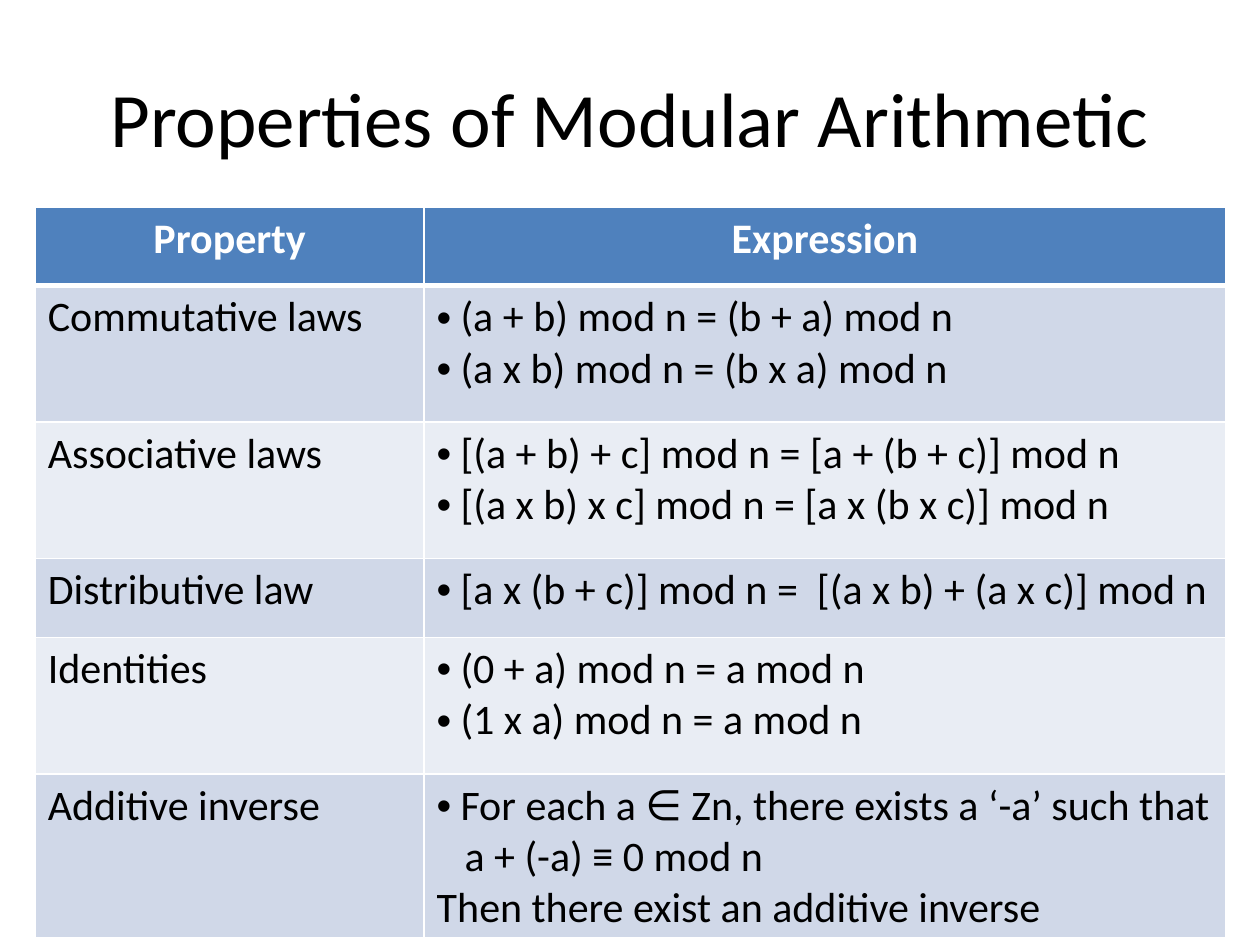
from dataclasses import dataclass

from lxml.etree import SubElement
from pptx import Presentation
from pptx.dml.color import RGBColor
from pptx.enum.text import MSO_ANCHOR as Anchor, PP_ALIGN as Align
from pptx.oxml.ns import qn
from pptx.util import Cm, Pt


@dataclass(frozen=True)
class Theme:
    font: str = "Calibri"
    title_size: int = 44
    body_size: int = 24
    text: str = "000000"
    white: str = "FFFFFF"
    header: str = "4F81BD"
    bands: tuple = ("D0D8E8", "E9EDF4")
    border: float = 1
    header_border: float = 3


@dataclass(frozen=True)
class Line:
    text: str
    bullet: bool = True
    indent: float = 0.48


@dataclass(frozen=True)
class Law:
    name: str
    lines: tuple
    height: float


THEME = Theme()
SHORT, TALL = 1.59, 2.75
COLUMN_WIDTHS = (7.84, 16.16)

LAWS = (
    Law("Commutative laws", (
        Line("(a + b) mod n = (b + a) mod n"),
        Line("(a x b) mod n = (b x a) mod n")), TALL),
    Law("Associative laws", (
        Line("[(a + b) + c] mod n = [a + (b + c)] mod n"),
        Line("[(a x b) x c] mod n = [a x (b x c)] mod n")), TALL),
    Law("Distributive law", (
        Line("[a x (b + c)] mod n =  [(a x b) + (a x c)] mod n"),), SHORT),
    Law("Identities", (
        Line("(0 + a) mod n = a mod n"),
        Line("(1 x a) mod n = a mod n")), TALL),
    Law("Additive inverse", (
        Line("For each a ∈ Zn, there exists a ‘-a’ such that"),
        Line("a + (-a) ≡ 0 mod n", bullet=False, indent=0.56),
        Line("Then there exist an additive inverse", bullet=False, indent=0)), TALL),
)


def write(paragraph, text: str, *, size: int = THEME.body_size, color: str = THEME.text,
          bold: bool = False, align=Align.LEFT, indent: float = 0, bullet: bool = False) -> None:
    """Fill one paragraph; a bullet hangs in the indent."""
    properties = paragraph._p.get_or_add_pPr()
    properties.set("marL", str(Cm(indent)))
    properties.set("indent", str(-Cm(indent) if bullet else 0))
    if bullet:
        SubElement(properties, qn("a:buFont"), typeface="Arial")
        SubElement(properties, qn("a:buChar"), char="•")
    else:
        SubElement(properties, qn("a:buNone"))
    paragraph.alignment = align
    run = paragraph.add_run()
    run.text = text
    run.font.name = THEME.font
    run.font.size = Pt(size)
    run.font.bold = bold
    run.font.color.rgb = RGBColor.from_string(color)


def style_cell(cell, fill: str, top: float, bottom: float) -> None:
    """Draw white borders, then the fill, which must follow them in the XML."""
    properties = cell._tc.get_or_add_tcPr()
    widths = {"lnL": THEME.border, "lnR": THEME.border, "lnT": top, "lnB": bottom}
    for tag, width in widths.items():
        border = SubElement(properties, qn(f"a:{tag}"), w=str(Pt(width)))
        SubElement(SubElement(border, qn("a:solidFill")), qn("a:srgbClr"), val=THEME.white)
    cell.fill.solid()
    cell.fill.fore_color.rgb = RGBColor.from_string(fill)


def add_title(slide, text: str) -> None:
    box = slide.shapes.add_textbox(Cm(1.27), Cm(0.76), Cm(22.86), Cm(3.18))
    frame = box.text_frame
    frame.word_wrap = True
    frame.vertical_anchor = Anchor.MIDDLE
    write(frame.paragraphs[0], text, size=THEME.title_size, align=Align.CENTER)


def add_law_table(slide, headings: tuple, laws: tuple) -> None:
    heights = (SHORT, *(law.height for law in laws))
    table = slide.shapes.add_table(
        len(heights), len(headings), Cm(0.71), Cm(4.17),
        Cm(sum(COLUMN_WIDTHS)), Cm(sum(heights))).table
    for column, width in zip(table.columns, COLUMN_WIDTHS):
        column.width = Cm(width)
    for row, height in zip(table.rows, heights):
        row.height = Cm(height)

    # Header row
    for cell, heading in zip(table.rows[0].cells, headings):
        style_cell(cell, THEME.header, THEME.border, THEME.header_border)
        write(cell.text_frame.paragraphs[0], heading, color=THEME.white,
              bold=True, align=Align.CENTER)

    # One banded row per law
    for index, law in enumerate(laws):
        name_cell, expression_cell = table.rows[index + 1].cells
        top = THEME.border if index else THEME.header_border
        for cell in (name_cell, expression_cell):
            style_cell(cell, THEME.bands[index % 2], top, THEME.border)
        write(name_cell.text_frame.paragraphs[0], law.name)
        frame = expression_cell.text_frame
        for number, line in enumerate(law.lines):
            paragraph = frame.add_paragraph() if number else frame.paragraphs[0]
            write(paragraph, line.text, indent=line.indent, bullet=line.bullet)


def main() -> None:
    presentation = Presentation()
    presentation.slide_width, presentation.slide_height = Cm(25.4), Cm(19.05)
    slide = presentation.slides.add_slide(presentation.slide_layouts[6])
    add_title(slide, "Properties of Modular Arithmetic")
    add_law_table(slide, ("Property", "Expression"), LAWS)
    presentation.save("out.pptx")


if __name__ == "__main__":
    main()
